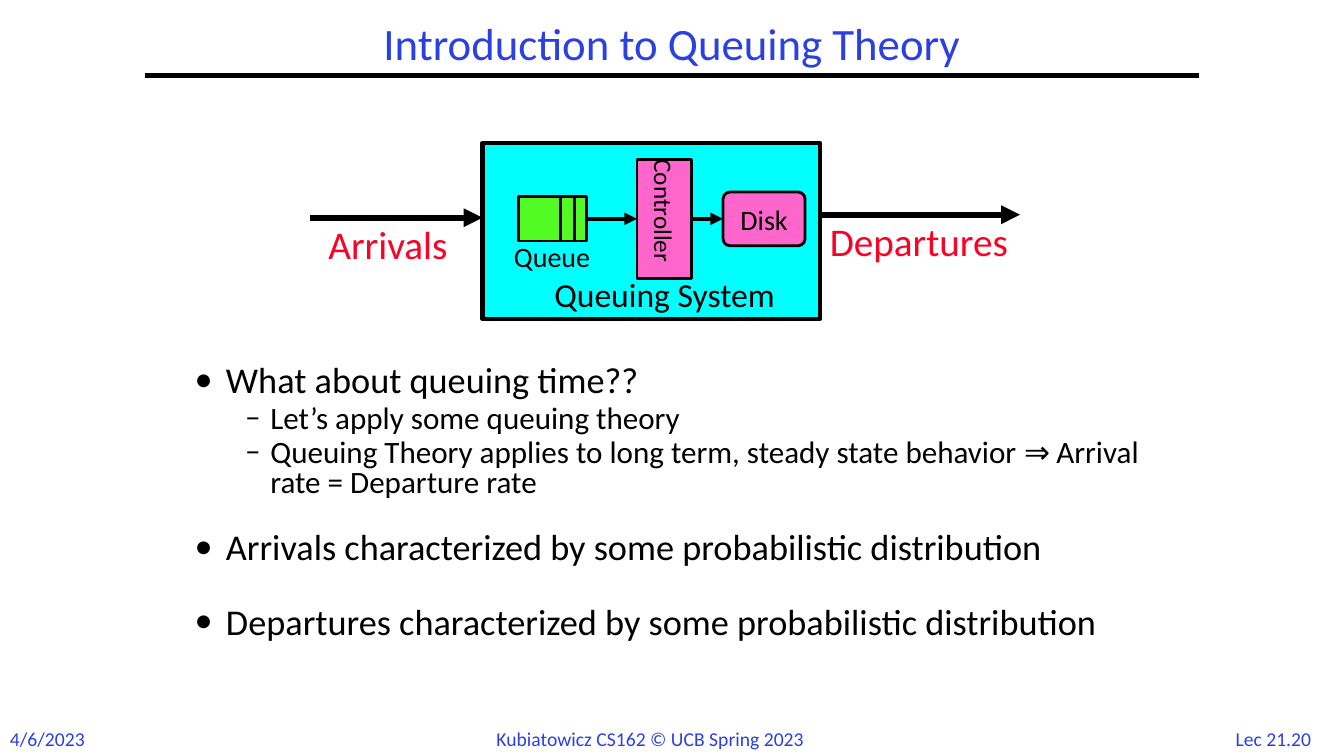
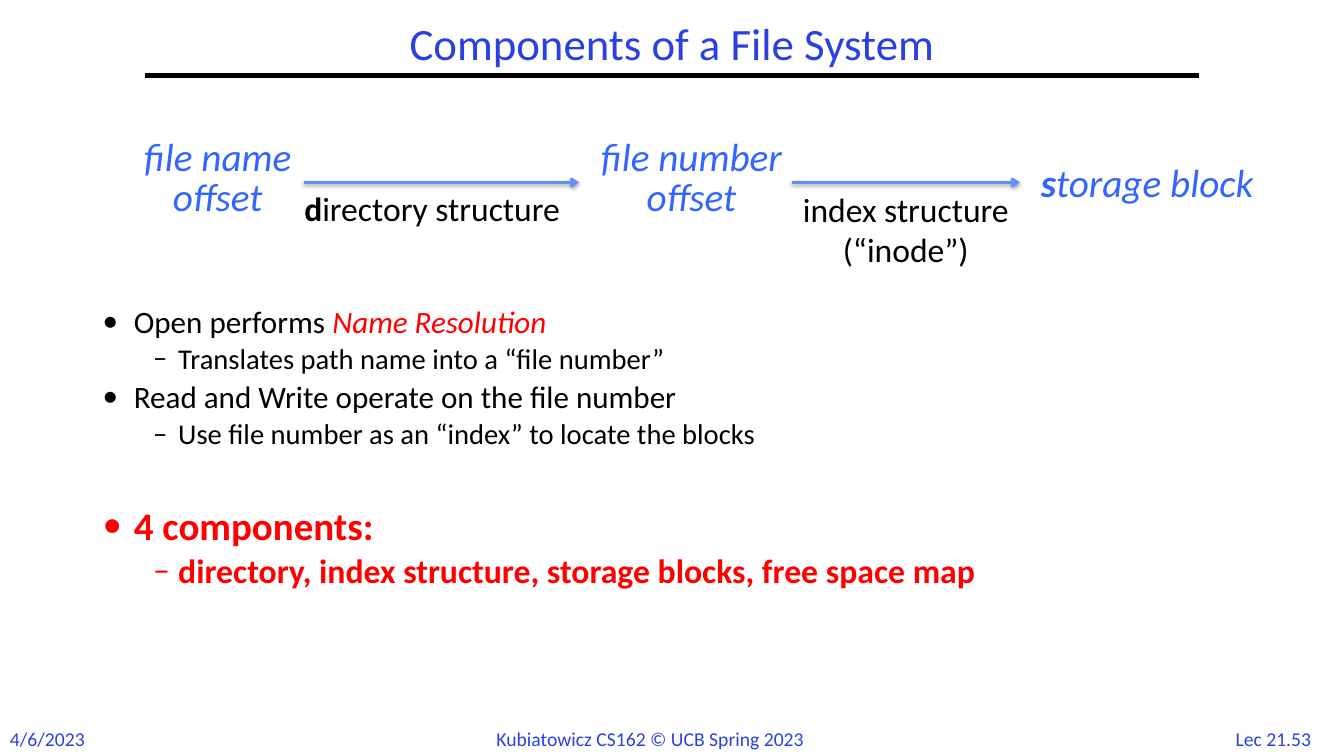
"""Build two lecture slides: a queuing system and the components of a file system."""
import lxml.etree
import pptx
import pptx.dml.color
import pptx.enum.shapes
import pptx.enum.text
import pptx.oxml
import pptx.oxml.ns
import pptx.util

RGBColor = pptx.dml.color.RGBColor
BLACK = RGBColor(0x00, 0x00, 0x00)
TITLE_BLUE = RGBColor(0x2A, 0x40, 0xE2)
LABEL_BLUE = RGBColor(0x33, 0x66, 0xFF)
ARROW_BLUE = RGBColor(0x61, 0x8F, 0xFD)
FLOW_RED = RGBColor(0xFC, 0x01, 0x28)
RED = RGBColor(0xFF, 0x00, 0x00)
CYAN = RGBColor(0x00, 0xFF, 0xFF)
GREEN = RGBColor(0x53, 0xFB, 0x25)
PINK = RGBColor(0xFF, 0x66, 0xCC)

FONT = "Calibri"
LEFT = pptx.enum.text.PP_ALIGN.LEFT
CENTER = pptx.enum.text.PP_ALIGN.CENTER
TOP = pptx.enum.text.MSO_ANCHOR.TOP
MIDDLE = pptx.enum.text.MSO_ANCHOR.MIDDLE
RECTANGLE = pptx.enum.shapes.MSO_SHAPE.RECTANGLE
ROUNDED = pptx.enum.shapes.MSO_SHAPE.ROUNDED_RECTANGLE
STRAIGHT = pptx.enum.shapes.MSO_CONNECTOR.STRAIGHT

presentation = pptx.Presentation()
presentation.slide_width = pptx.util.Inches(13.33)
presentation.slide_height = pptx.util.Inches(7.5)
COLUMN = presentation.slide_width / 100
ROW = presentation.slide_height / 100
SHADOW = (
    '<a:outerShdw xmlns:a="http://schemas.openxmlformats.org/drawingml/2006/main" '
    'blurRad="39370" dist="20320" dir="5400000" rotWithShape="0">'
    '<a:srgbClr val="000000"><a:alpha val="38000"/></a:srgbClr></a:outerShdw>'
)


def add_box(slide, area, lines=(), size=14, color=BLACK, align=LEFT, anchor=TOP,
            spacing=1.0, italic=False, bold_letters=0, preset=None, fill=None, border=2):
    left, top, width, height = area
    place = [round(value) for value in (left * COLUMN, top * ROW, width * COLUMN, height * ROW)]
    if preset is None:
        shape = slide.shapes.add_textbox(*place)
    else:
        shape = slide.shapes.add_shape(preset, *place)
        shape.shadow.inherit = False
        shape.fill.solid()
        shape.fill.fore_color.rgb = fill
        shape.line.color.rgb = BLACK
        shape.line.width = pptx.util.Pt(border)
    frame = shape.text_frame
    frame.word_wrap = True
    frame.vertical_anchor = anchor
    for index, line in enumerate(lines):
        paragraph = frame.add_paragraph() if index else frame.paragraphs[0]
        paragraph.alignment = align
        paragraph.line_spacing = spacing
        paragraph.font.name = FONT
        paragraph.font.size = pptx.util.Pt(size)
        paragraph.font.color.rgb = color
        paragraph.font.italic = italic
        if bold_letters:
            lead = paragraph.add_run()
            lead.text = line[:bold_letters]
            lead.font.bold = True
        paragraph.add_run().text = line[bold_letters:]
    return shape


def add_line(slide, start, end, color=BLACK, width=2, head=None, shadow=False):
    connector = slide.shapes.add_connector(
        STRAIGHT, round(start[0] * COLUMN), round(start[1] * ROW),
        round(end[0] * COLUMN), round(end[1] * ROW))
    connector.line.color.rgb = color
    connector.line.width = pptx.util.Pt(width)
    if head:
        outline = connector.line._get_or_add_ln()
        lxml.etree.SubElement(outline, pptx.oxml.ns.qn("a:tailEnd"), type=head)
    effects = lxml.etree.SubElement(connector._element.spPr, pptx.oxml.ns.qn("a:effectLst"))
    if shadow:
        effects.append(pptx.oxml.parse_xml(SHADOW))
    return connector


queuing_bullets = [
    (0, 25.9, 0, BLACK, "What about queuing time??", ""),
    (1, 22.2, 0, BLACK, "Let’s apply some queuing theory", ""),
    (1, 22.2, 0, BLACK, "Queuing Theory applies to long term, steady state behavior "
     "⇒ Arrival rate = Departure rate", ""),
    (0, 25.9, 20, BLACK, "Arrivals characterized by some probabilistic distribution", ""),
    (0, 25.9, 24.5, BLACK, "Departures characterized by some probabilistic distribution", ""),
]
file_bullets = [
    (0, 22.2, 0, BLACK, "Open performs ", "Name Resolution"),
    (1, 20.4, 0, BLACK, "Translates path name into a “file number”", ""),
    (0, 22.2, 0, BLACK, "Read and Write operate on the file number", ""),
    (1, 20.4, 0, BLACK, "Use file number as an “index” to locate the blocks", ""),
    (0, 27.8, 34.5, RED, "4 components:", ""),
    (1, 24.1, 0, RED, "directory, index structure, storage blocks, free space map", ""),
]
lectures = [
    ("Introduction to Queuing Theory", "Lec 21.20", (13.75, 47.73, 72.5, 48), 0.15, queuing_bullets),
    ("Components of a File System", "Lec 21.53", (6.9, 40.27, 91.5, 41.7), 0.3, file_bullets),
]
bullet_styles = [("•", 0.31, 0.31), ("–", 0.75, 0.25)]

slides = []
for title, number, body_area, space_share, bullets in lectures:
    slide = presentation.slides.add_slide(presentation.slide_layouts[6])
    slides.append(slide)
    add_line(slide, (10.8, 10), (89.2, 10), width=3)
    add_box(slide, (10.8, 2.27, 78.4, 7.73), [title], 32, TITLE_BLUE, CENTER, MIDDLE, 0.9)
    for left, width, align, footer in [
        (0, 9, LEFT, "4/6/2023"),
        (36.2, 27.6, LEFT, "Kubiatowicz CS162 © UCB Spring 2023"),
        (90.7, 8.1, CENTER, number),
    ]:
        add_box(slide, (left, 95.47, width, 4.53), [footer], 14, TITLE_BLUE, align)

    frame = add_box(slide, body_area).text_frame
    for index, (level, size, gap, color, text, emphasis) in enumerate(bullets):
        paragraph = frame.add_paragraph() if index else frame.paragraphs[0]
        symbol, margin, hanging = bullet_styles[level]
        properties = paragraph._p.get_or_add_pPr()
        properties.set("marL", str(pptx.util.Inches(margin)))
        properties.set("indent", str(-pptx.util.Inches(hanging)))
        lxml.etree.SubElement(properties, pptx.oxml.ns.qn("a:buFont"), typeface=FONT)
        lxml.etree.SubElement(properties, pptx.oxml.ns.qn("a:buChar"), char=symbol)
        paragraph.level = level
        paragraph.line_spacing = 0.8
        paragraph.space_before = pptx.util.Pt(space_share * size + gap if index else 0)
        paragraph.font.name = FONT
        paragraph.font.size = pptx.util.Pt(size)
        paragraph.font.color.rgb = color
        paragraph.font.bold = color == RED
        paragraph.add_run().text = text
        if emphasis:
            run = paragraph.add_run()
            run.text = emphasis
            run.font.italic = True
            run.font.color.rgb = RED

queuing_slide, file_slide = slides

add_line(queuing_slide, (60, 28.4), (75.9, 28.4), width=4.5, head="triangle")
add_line(queuing_slide, (23.1, 28.8), (35.9, 28.8), width=4.5, head="triangle")
add_box(queuing_slide, (35.9, 18.9, 25.1, 23.3), preset=RECTANGLE, fill=CYAN, border=3)
for area, label, size, color in [
    ((61, 28.1, 16.1, 7.6), "Departures", 28, FLOW_RED),
    ((23.7, 28.5, 11.3, 7.6), "Arrivals", 28, FLOW_RED),
    ((40.5, 35.6, 20.2, 6.7), "Queuing System", 24, BLACK),
]:
    add_box(queuing_slide, area, [label], size, color)
add_box(queuing_slide, (37.5, 31.7, 8, 5), ["Queue"], 20, spacing=0.85)

flow_row = 28.95
stages = []
for left, width, height, preset, fill, lines, size in [
    (38.6, 5.05, 5.9, RECTANGLE, GREEN, [], 20),
    (47.4, 4.05, 15.7, RECTANGLE, PINK, ["Controller"], 18),
    (53.8, 6.1, 7.1, ROUNDED, PINK, ["Disk"], 20),
]:
    area = (left, flow_row - height / 2, width, height)
    stage = add_box(queuing_slide, area, lines, size, BLACK, CENTER, MIDDLE,
                    preset=preset, fill=fill)
    frame = stage.text_frame
    frame.margin_left = frame.margin_right = frame.margin_top = frame.margin_bottom = 0
    stages.append(stage)
queue, controller, disk = stages
controller.text_frame._txBody.bodyPr.set("vert", "eaVert")
disk.adjustments[0] = 0.125
for divider in (41.7, 42.75):
    add_line(queuing_slide, (divider, 26), (divider, 31.9))
for source, target in zip(stages, stages[1:]):
    arrow = add_line(queuing_slide, (0, 0), (1, 1), width=3, head="triangle")
    arrow.begin_connect(source, 3)
    arrow.end_connect(target, 1)

for left, width, label in [(9.45, 13.5, "file name"), (43.4, 16.1, "file number")]:
    add_box(file_slide, (left, 17.8, width, 12), [label, "offset"], 28, LABEL_BLUE, CENTER,
            spacing=0.85, italic=True)
for start, end in [(22.6, 43.1), (58.9, 75.9)]:
    add_line(file_slide, (start, 24.13), (end, 24.13), ARROW_BLUE, head="arrow", shadow=True)
add_box(file_slide, (21.9, 24.27, 21.8, 6.7), ["directory structure"], 24, bold_letters=1)
add_box(file_slide, (58.35, 24.27, 18.1, 12.1), ["index structure", "(“inode”)"], 24, align=CENTER)
add_box(file_slide, (75.7, 20.27, 19.3, 7.6), ["storage block"], 28, LABEL_BLUE, CENTER,
        italic=True, bold_letters=1)

presentation.save("out.pptx")
